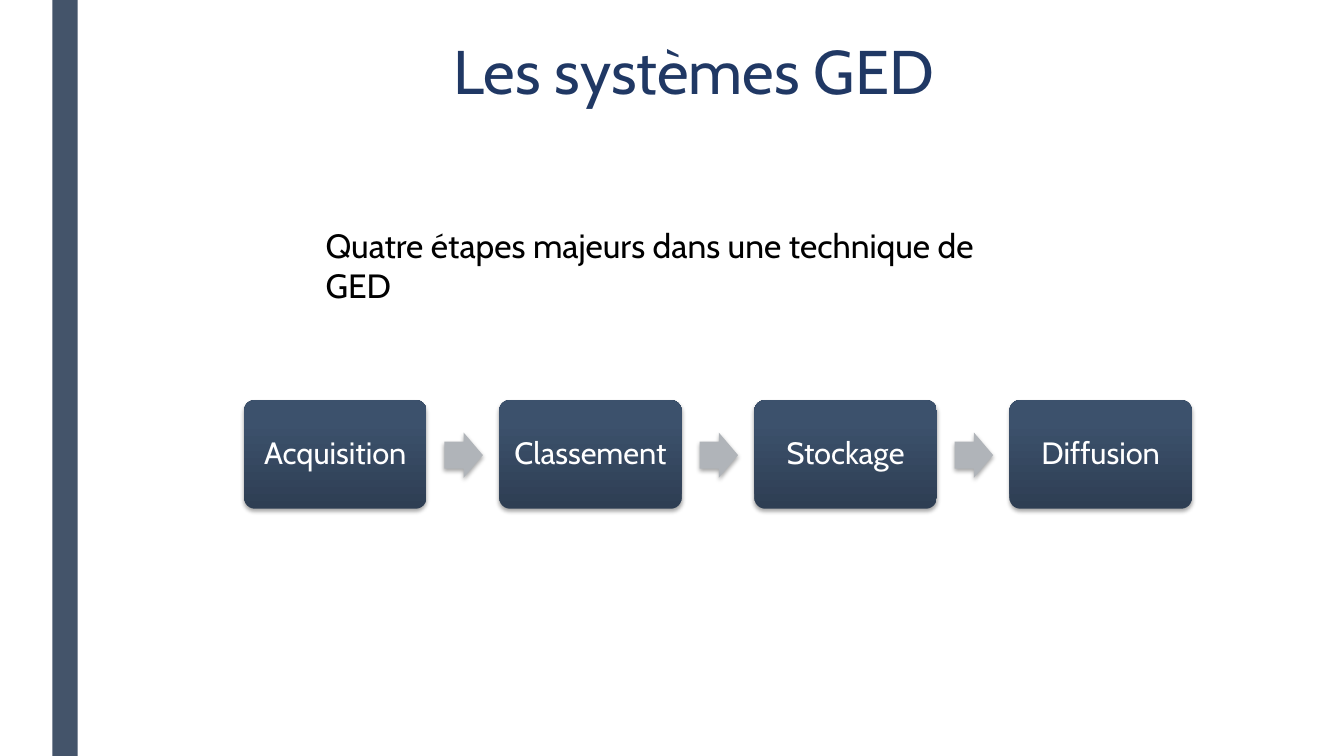
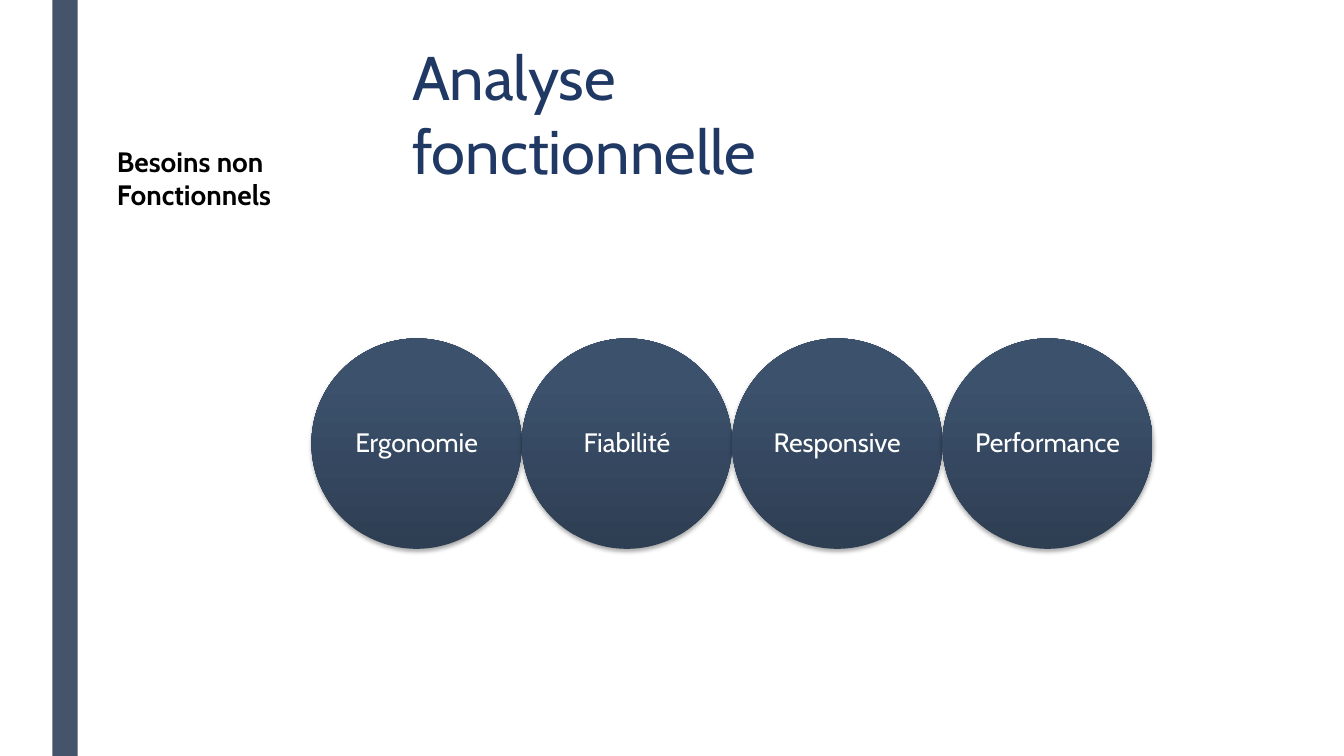
from lxml.etree import SubElement
from pptx import Presentation
from pptx.dml.color import RGBColor
from pptx.enum.shapes import MSO_SHAPE as SHAPE
from pptx.enum.text import MSO_ANCHOR as ANCHOR, MSO_AUTO_SIZE as AUTO, PP_ALIGN as ALIGN
from pptx.oxml.ns import qn
from pptx.util import Cm, Pt

FONT = "Cabin"
NAVY = RGBColor(0x20, 0x38, 0x64)
SLATE = RGBColor(0x44, 0x54, 0x6A)
DARK = RGBColor(0x2E, 0x3E, 0x53)
LIGHT = RGBColor(0x3C, 0x51, 0x6C)
GREY = RGBColor(0xB0, 0xB4, 0xB9)
BLACK = RGBColor(0, 0, 0)
WHITE = RGBColor(0xFF, 0xFF, 0xFF)


def write(sp, text, size, color, align=ALIGN.LEFT, anchor=ANCHOR.TOP, bold=False):
    tf = sp.text_frame
    tf.text = text
    tf.word_wrap = True
    tf.auto_size = AUTO.NONE
    tf.vertical_anchor = anchor
    p = tf.paragraphs[0]
    p.alignment = align
    p.space_before = Pt(0)
    font = p.runs[0].font
    font.name, font.size, font.bold = FONT, Pt(size), bold
    font.color.rgb = color
    return p


def add_shadowed(s, kind, x, y, w, h):
    sp = s.shapes.add_shape(kind, Cm(x), Cm(y), Cm(w), Cm(h))
    sp.line.fill.background()
    sp.shadow.inherit = False
    effects = sp._element.spPr.find(qn("a:effectLst"))
    shadow = SubElement(effects, qn("a:outerShdw"), blurRad="40000", dist="23000",
                        dir="5400000", rotWithShape="0")
    color = SubElement(shadow, qn("a:srgbClr"), val="000000")
    SubElement(color, qn("a:alpha"), val="35000")
    return sp


prs = Presentation()
prs.slide_width, prs.slide_height = Cm(33.87), Cm(19.05)

slides = [
    dict(title="Les systèmes GED", title_box=(11.18, 0.69, 12.7, 2.13),
         body="Quatre étapes majeurs dans une technique de GED",
         body_box=(7.95, 5.54, 17.98, 2.06), body_size=24, bold=False,
         labels=["Acquisition", "Classement", "Stockage", "Diffusion"],
         kind=SHAPE.ROUNDED_RECTANGLE, x=6.15, y=10.08, w=4.6, h=2.74,
         pitch=6.43, size=22, inset=0.23),
    dict(title="Analyse fonctionnelle", title_box=(10.13, 0.86, 13.61, 2.13),
         body="Besoins non Fonctionnels",
         body_box=(2.69, 3.51, 8, 1.88), body_size=20, bold=True,
         labels=["Ergonomie", "Fiabilité", "Responsive", "Performance"],
         kind=SHAPE.OVAL, x=7.85, y=8.53, w=5.3, h=5.3,
         pitch=5.3, size=19, inset=0),
]

for number, d in enumerate(slides):
    s = prs.slides.add_slide(prs.slide_layouts[1])
    if number == 0:
        band = s.shapes.add_shape(SHAPE.RECTANGLE, Cm(1.32), 0, Cm(0.64), prs.slide_height)
        band.fill.solid()
        band.fill.fore_color.rgb = SLATE
        band.line.fill.background()
        band.shadow.inherit = False
        prs.slide_master.shapes.element.insert(2, band._element)

    title, body = s.shapes.title, s.placeholders[1]
    for sp, box in ((title, d["title_box"]), (body, d["body_box"])):
        sp.left, sp.top, sp.width, sp.height = (Cm(v) for v in box)
    write(title, d["title"], 44, NAVY)
    p = write(body, d["body"], d["body_size"], BLACK, bold=d["bold"])
    pPr = p._p.get_or_add_pPr()
    pPr.set("marL", "0")
    pPr.set("indent", "0")
    SubElement(pPr, qn("a:buNone"))

    for i, label in enumerate(d["labels"]):
        x = d["x"] + i * d["pitch"]
        sp = add_shadowed(s, d["kind"], x, d["y"], d["w"], d["h"])
        sp.fill.gradient()
        sp.fill.gradient_angle = 90
        for stop, color, position in zip(sp.fill.gradient_stops, (DARK, LIGHT), (0, 0.8)):
            stop.color.rgb = color
            stop.position = position
        p = write(sp, label, d["size"], WHITE, ALIGN.CENTER, ANCHOR.MIDDLE)
        p.line_spacing = 0.9
        tf = sp.text_frame
        tf.margin_left = tf.margin_right = tf.margin_top = tf.margin_bottom = Cm(d["inset"])
        if d["kind"] == SHAPE.ROUNDED_RECTANGLE:
            sp.adjustments[0] = 0.1
            if i < len(d["labels"]) - 1:
                arrow = add_shadowed(s, SHAPE.RIGHT_ARROW, x + 5.05, 10.9, 0.97, 1.14)
                arrow.adjustments[0], arrow.adjustments[1] = 0.6, 0.5
                arrow.fill.solid()
                arrow.fill.fore_color.rgb = GREY

prs.save("out.pptx")
